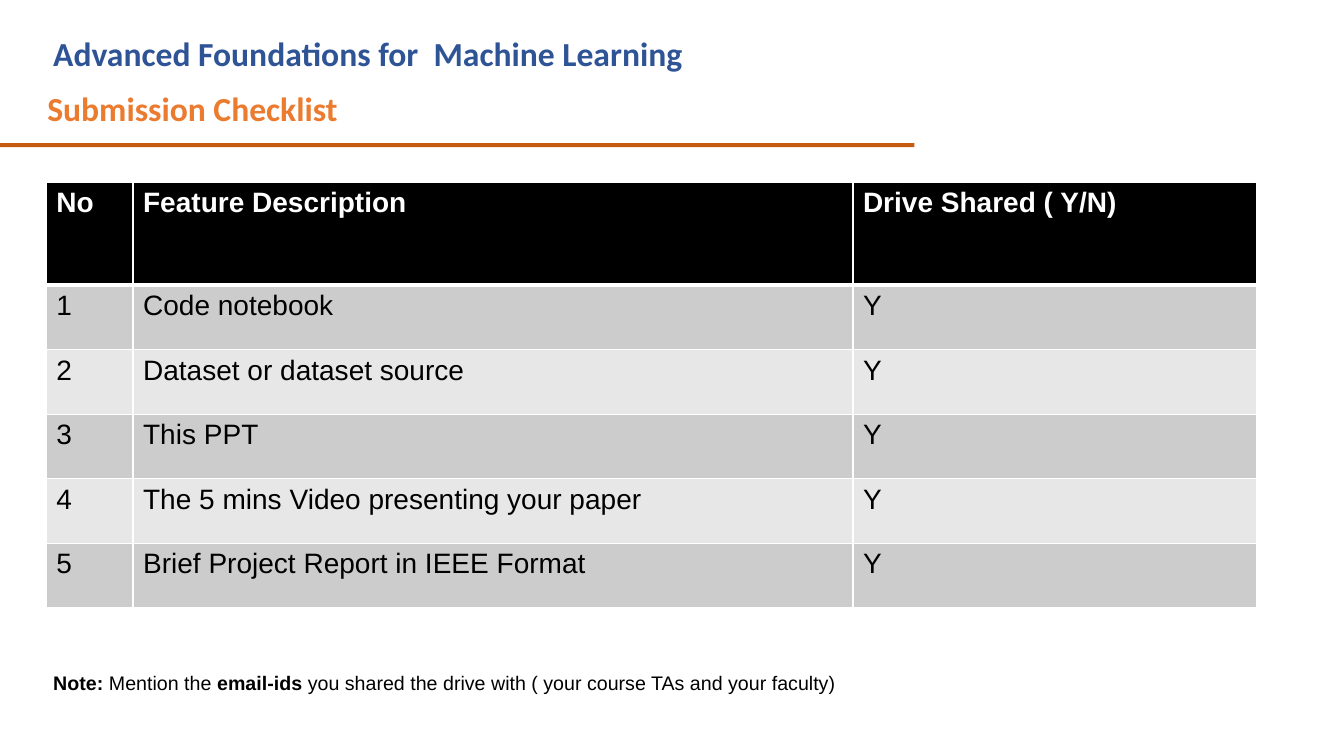
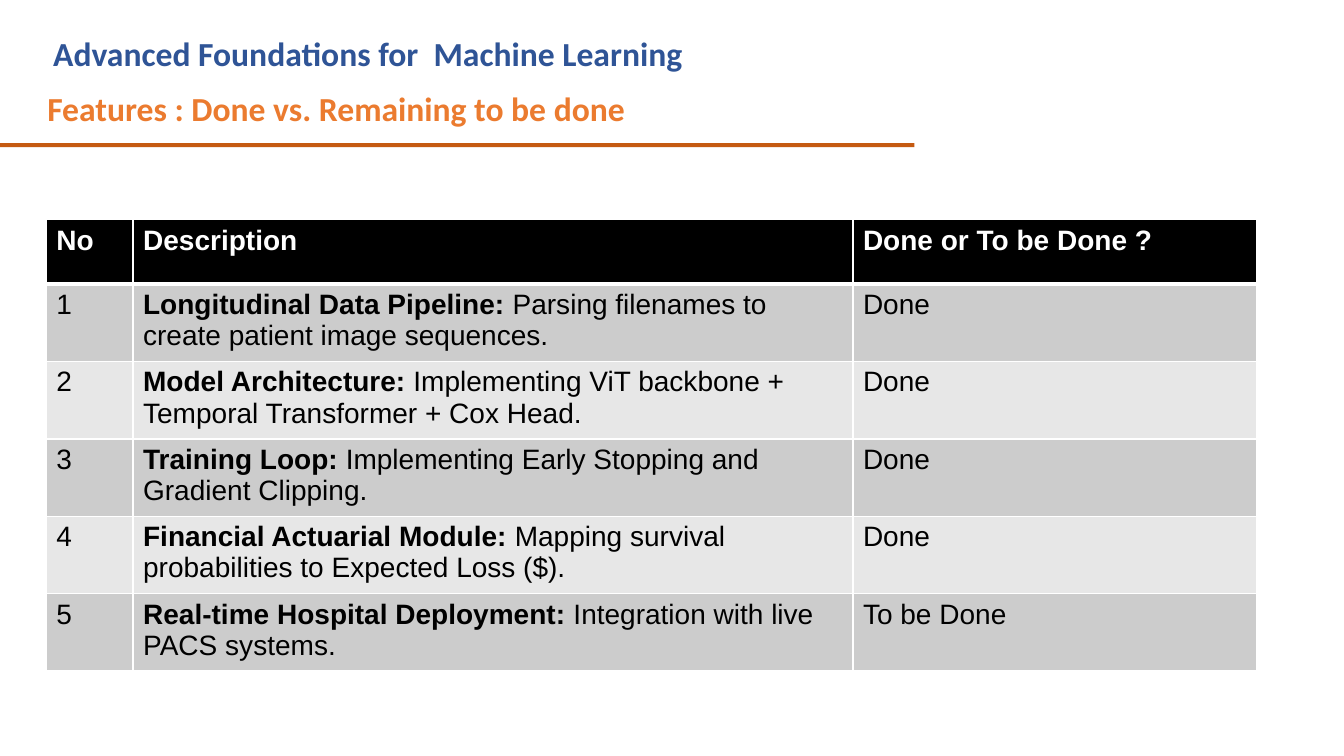
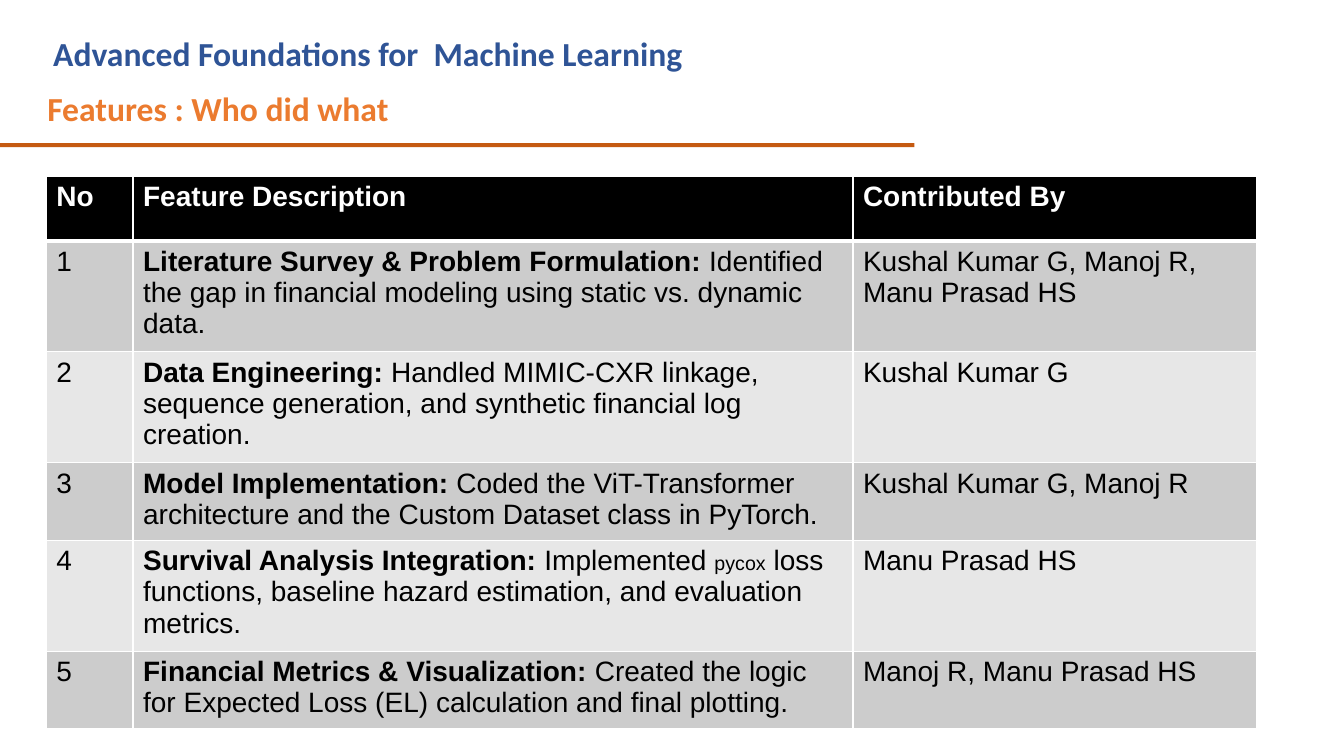
from dataclasses import dataclass

from lxml import etree
from pptx import Presentation
from pptx.dml.color import RGBColor
from pptx.enum.shapes import MSO_SHAPE
from pptx.enum.text import MSO_AUTO_SIZE
from pptx.oxml.ns import qn
from pptx.util import Inches, Pt


# Colours, fonts and type sizes
@dataclass(frozen=True)
class Theme:
    course: str = "2F5496"
    title: str = "EB7B2F"
    rule: str = "C55A11"
    header: str = "000000"
    bands: tuple = ("CCCCCC", "E7E7E7")
    text: str = "000000"
    light: str = "FFFFFF"
    heading_font: str = "Calibri"
    body_font: str = "Arial"
    heading_size: int = 24
    table_size: int = 20
    note_size: int = 14
    border: int = 1
    header_border: int = 3


# A piece of text; size None means the size of its surroundings
@dataclass(frozen=True)
class Piece:
    text: str
    bold: bool = False
    size: int = None


THEME = Theme()
COURSE = "Advanced Foundations for  Machine Learning"
COLUMN_WIDTHS = (0.86, 7.14, 4)
TABLE_LEFT = 0.46
ROW_HEIGHT = 0.64


def color(value):
    return RGBColor.from_string(value)


def add_runs(paragraph, pieces, font, size, fill):
    for piece in pieces:
        run = paragraph.add_run()
        run.text = piece.text
        run.font.name = font
        run.font.size = Pt(piece.size or size)
        run.font.bold = piece.bold
        run.font.color.rgb = color(fill)


def add_text(slide, box, pieces, font, size, fill, wrap=True):
    shape = slide.shapes.add_textbox(*map(Inches, box))
    frame = shape.text_frame
    frame.word_wrap = wrap
    frame.auto_size = MSO_AUTO_SIZE.SHAPE_TO_FIT_TEXT
    add_runs(frame.paragraphs[0], pieces, font, size, fill)
    return frame


# Course name, slide title and rule
def add_heading(slide, title):
    rule = slide.shapes.add_shape(
        MSO_SHAPE.RECTANGLE, 0, Inches(1.42), Inches(9.07), Inches(0.04))
    rule.shadow.inherit = False
    rule.fill.solid()
    rule.fill.fore_color.rgb = color(THEME.rule)
    rule.line.fill.background()

    add_text(slide, (0.43, 0.28, 8.2, 0.5), [Piece(COURSE, True)],
             THEME.heading_font, THEME.heading_size, THEME.course)
    frame = add_text(slide, (0.46, 0.72, 5.94, 0.56), [Piece(title, True)],
                     THEME.heading_font, THEME.heading_size, THEME.title)
    frame.margin_left = frame.margin_right = frame.margin_bottom = 0
    frame.margin_top = Inches(0.01)
    paragraph = frame.paragraphs[0]
    paragraph.line_spacing = 1.35
    properties = paragraph._p.get_or_add_pPr()
    properties.set("marL", str(Inches(0.06)))
    properties.set("indent", str(Inches(-0.05)))


# Borders come before the fill in the cell properties
def set_borders(cell, top, bottom):
    properties = cell._tc.get_or_add_tcPr()
    widths = {"lnL": THEME.border, "lnR": THEME.border, "lnT": top, "lnB": bottom}
    for position, (side, width) in enumerate(widths.items()):
        line = etree.Element(qn(f"a:{side}"), w=str(Pt(width)))
        fill = etree.SubElement(line, qn("a:solidFill"))
        etree.SubElement(fill, qn("a:srgbClr"), val=THEME.light)
        properties.insert(position, line)


def fill_cell(cell, content, row):
    is_header = row == 0
    pieces = [Piece(content, is_header)] if isinstance(content, str) else content
    add_runs(cell.text_frame.paragraphs[0], pieces, THEME.body_font,
             THEME.table_size, THEME.light if is_header else THEME.text)
    cell.fill.solid()
    cell.fill.fore_color.rgb = color(
        THEME.header if is_header else THEME.bands[(row - 1) % 2])
    set_borders(cell,
                top=THEME.header_border if row == 1 else THEME.border,
                bottom=THEME.header_border if is_header else THEME.border)


# Numbered table: headings are for the second and third columns
def add_numbered_table(slide, top, headings, entries, header_height=ROW_HEIGHT):
    rows = [("No", *headings)]
    rows += [(str(number), *entry) for number, entry in enumerate(entries, 1)]
    height = header_height + ROW_HEIGHT * len(entries)
    table = slide.shapes.add_table(
        len(rows), len(COLUMN_WIDTHS), Inches(TABLE_LEFT), Inches(top),
        Inches(sum(COLUMN_WIDTHS)), Inches(height)).table
    table.horz_banding = False
    for column, width in zip(table.columns, COLUMN_WIDTHS):
        column.width = Inches(width)
    for row, contents in enumerate(rows):
        table.rows[row].height = Inches(ROW_HEIGHT if row else header_height)
        for column, content in enumerate(contents):
            fill_cell(table.cell(row, column), content, row)


def feature(name, *details):
    return [Piece(name, True)] + [
        Piece(detail) if isinstance(detail, str) else detail for detail in details]


def add_slide(presentation, title):
    slide = presentation.slides.add_slide(presentation.slide_layouts[6])
    add_heading(slide, title)
    return slide


def build_checklist(presentation):
    slide = add_slide(presentation, "Submission Checklist")
    items = ("Code notebook", "Dataset or dataset source", "This PPT",
             "The 5 mins Video presenting your paper",
             "Brief Project Report in IEEE Format")
    add_numbered_table(slide, 1.81, ("Feature Description", "Drive Shared ( Y/N)"),
                       [(item, "Y") for item in items], header_height=1.02)
    note = [Piece("Note:", True), Piece(" Mention the "), Piece("email-ids", True),
            Piece(" you shared the drive with ( your course TAs and your faculty)")]
    add_text(slide, (0.43, 6.61, 8, 0.34), note, THEME.body_font,
             THEME.note_size, THEME.text, wrap=False)


def build_progress(presentation):
    slide = add_slide(presentation, "Features : Done vs. Remaining to be done")
    add_numbered_table(slide, 2.18, ("Description", "Done or To be Done ?"), [
        (feature("Longitudinal Data Pipeline:",
                 " Parsing filenames to create patient image sequences."), "Done"),
        (feature("Model Architecture:",
                 " Implementing ViT backbone + Temporal Transformer + Cox Head."),
         "Done"),
        (feature("Training Loop:",
                 " Implementing Early Stopping and Gradient Clipping."), "Done"),
        (feature("Financial Actuarial Module:",
                 " Mapping survival probabilities to Expected Loss ($)."), "Done"),
        (feature("Real-time Hospital Deployment:",
                 " Integration with live PACS systems."), "To be Done"),
    ])


def build_contributions(presentation):
    slide = add_slide(presentation, "Features : Who did what")
    add_numbered_table(slide, 1.75, ("Feature Description", "Contributed By"), [
        (feature("Literature Survey & Problem Formulation:",
                 " Identified the gap in financial modeling using static vs. "
                 "dynamic data."),
         "Kushal Kumar G, Manoj R, Manu Prasad HS"),
        (feature("Data Engineering:",
                 " Handled MIMIC-CXR linkage, sequence generation, and synthetic "
                 "financial log creation."),
         "Kushal Kumar G"),
        (feature("Model Implementation:",
                 " Coded the ViT-Transformer architecture and the Custom Dataset "
                 "class in PyTorch."),
         "Kushal Kumar G, Manoj R"),
        (feature("Survival Analysis Integration:", " Implemented ",
                 Piece("pycox", size=THEME.note_size),
                 " loss functions, baseline hazard estimation, and evaluation "
                 "metrics."),
         "Manu Prasad HS"),
        (feature("Financial Metrics & Visualization:",
                 " Created the logic for Expected Loss (EL) calculation and final "
                 "plotting."),
         "Manoj R, Manu Prasad HS"),
    ])


def main():
    presentation = Presentation()
    presentation.slide_width = Inches(13.33)
    presentation.slide_height = Inches(7.5)
    build_checklist(presentation)
    build_progress(presentation)
    build_contributions(presentation)
    presentation.save("out.pptx")


if __name__ == "__main__":
    main()
